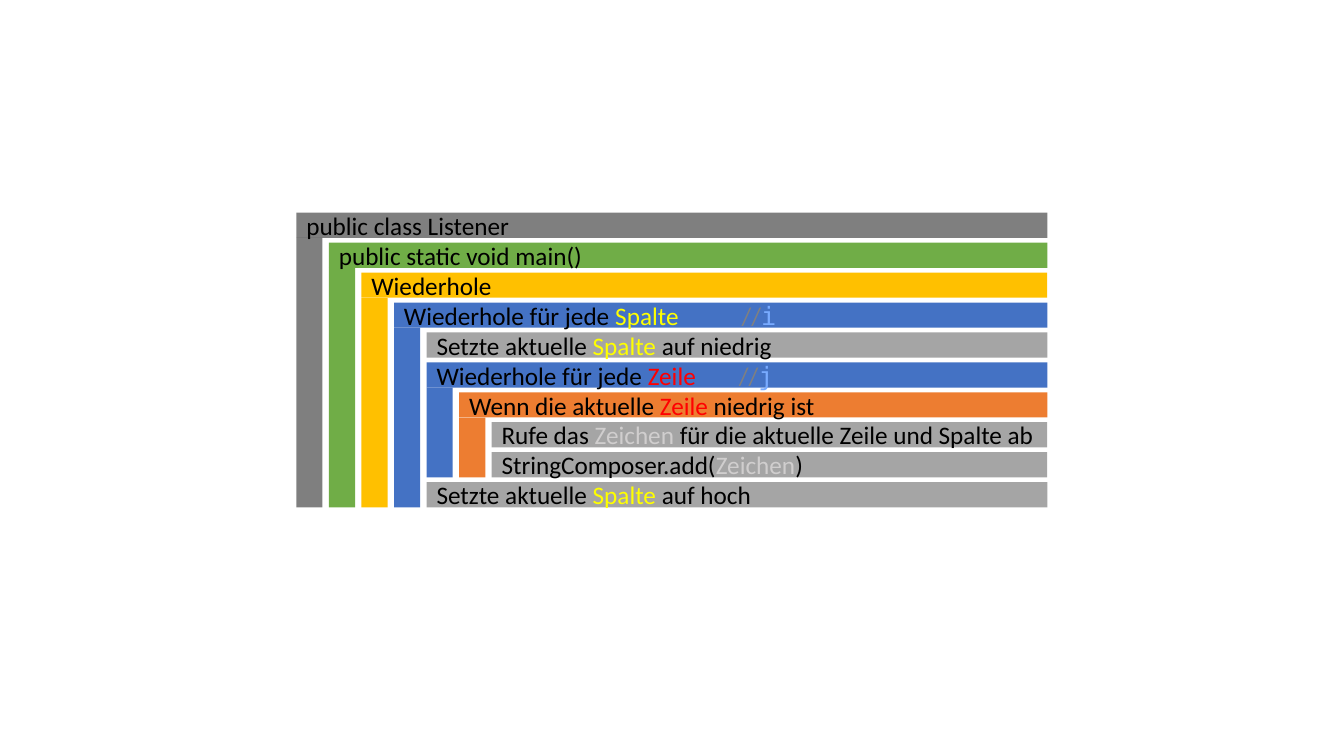
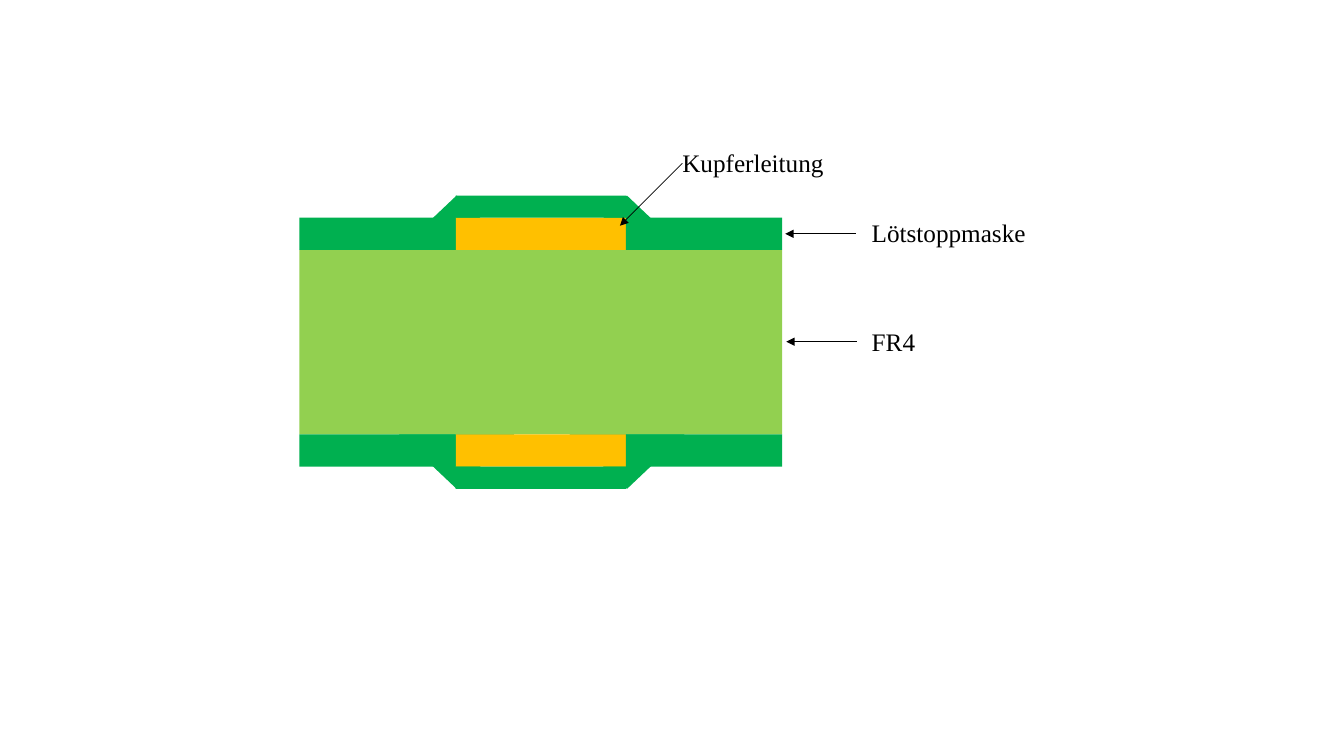
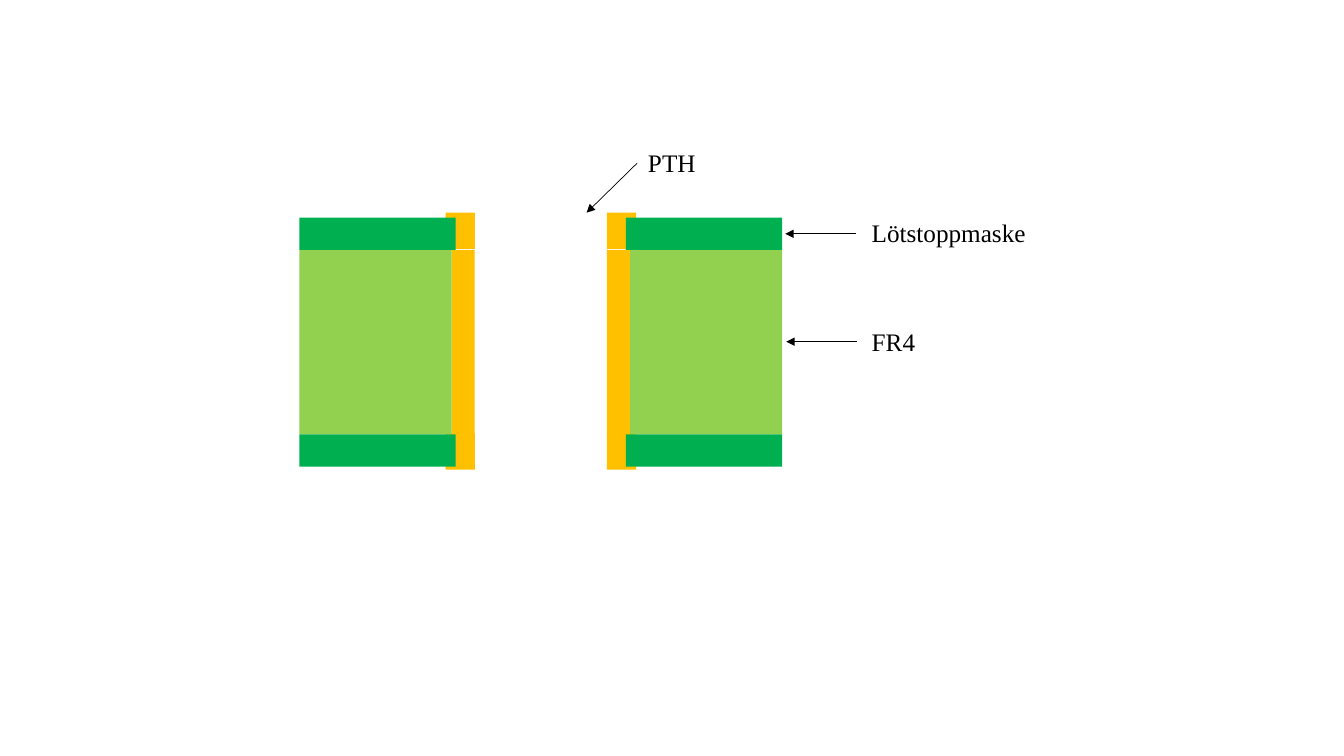
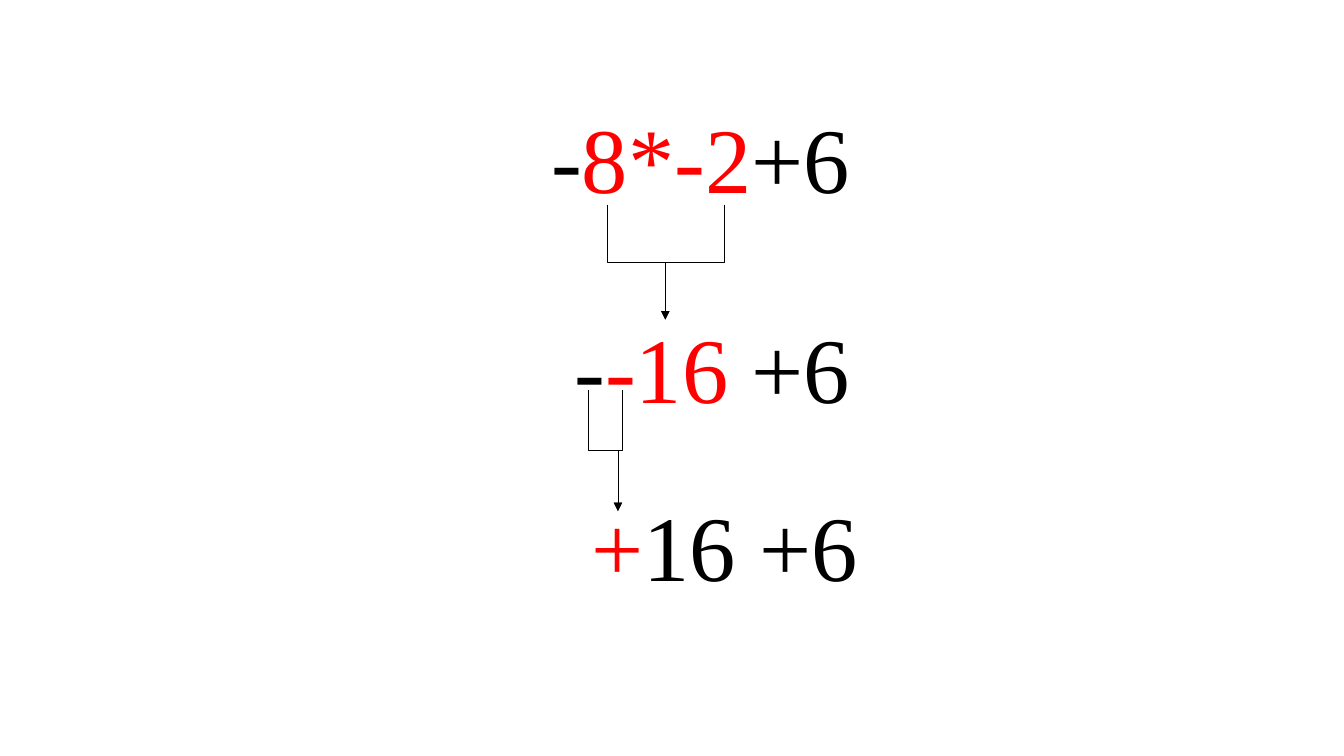
from pptx import Presentation as Deck
from pptx.dml.color import RGBColor as Rgb
from pptx.enum.shapes import MSO_CONNECTOR as Link, MSO_SHAPE as Form
from pptx.enum.text import MSO_ANCHOR as Anchor, PP_ALIGN as Align
from pptx.oxml.ns import qn
from pptx.util import Inches, Pt
from lxml.etree import SubElement as Sub

CELL = Inches(0.1)
WIDE, HIGH = 133.33, 75
HUES = {
    "black": "000000", "grey": "A5A5A5", "green": "70AD47", "gold": "FFC000",
    "blue": "4472C4", "orange": "ED7D31", "yellow": "FFFF00", "red": "FF0000",
    "slash": "808080", "index": "79ABFF", "silver": "D0CECE",
    "mask": "00B050", "core": "92D050",
}
SANS, MONO, SERIF = "Calibri", "DejaVu Sans Mono", "Times New Roman"

LEFT, TOP, RIGHT = 29.4, 21.1, 103.9
COL, ROW, BAR, STEM = 3.23, 2.97, 2.5, 2.6

EDGE, BOARD = 29.7, 47.9
SIDE, TRACE = 15.5, 16.9
LAYER, CORE, CAP = 3.2, 18.3, 2.2
UPPER, LOWER = 24.8, 43.1


def cells(*nums):
    return [round(n * CELL) for n in nums]


def hue(name):
    return Rgb.from_string(HUES[name])


def block(page, box, fill, form=Form.RECTANGLE, alpha=None):
    shape = page.shapes.add_shape(form, *cells(*box))
    shape.shadow.inherit = False
    shape.line.fill.background()
    shape.fill.solid()
    shape.fill.fore_color.rgb = hue(fill)
    if alpha:
        tint = shape._element.spPr.find(qn("a:solidFill"))[0]
        Sub(tint, qn("a:alpha")).set("val", str(alpha * 1000))
    return shape


def write(para, runs, size, font):
    for text, ink, *face in runs:
        run = para.add_run()
        run.text = text
        run.font.size = Pt(size)
        run.font.name = face[0] if face else font
        run.font.color.rgb = hue(ink)


def label(page, box, runs, size=18, wrap=False):
    frame = page.shapes.add_textbox(*cells(*box)).text_frame
    frame.word_wrap = wrap
    write(frame.paragraphs[0], runs, size, SERIF)


def style(line):
    line.line.color.rgb = hue("black")
    line.line.width = Pt(0.5)
    props = line._element.spPr
    Sub(props.find(qn("a:ln")), qn("a:tailEnd")).set("type", "triangle")
    Sub(props, qn("a:effectLst"))


def arrow(page, start, end):
    style(page.shapes.add_connector(Link.STRAIGHT, *cells(*start, *end)))


def elbow(page, start, end):
    (x, y), (to_x, to_y) = start, end
    mid_x, mid_y = (x + to_x) / 2, (y + to_y) / 2
    half, rise = (to_y - y) / 2, abs(to_x - x) / 2
    turn = 90
    if x < to_x:
        half, turn = -half, 270
    line = page.shapes.add_connector(Link.ELBOW, *cells(
        mid_x - half, mid_y - rise, mid_x + half, mid_y + rise))
    line._element.spPr.find(qn("a:xfrm")).set("rot", str(turn * 60000))
    style(line)


def step(page, row, col, last, fill, runs, tab=None, alpha=None):
    x, y = LEFT + col * COL, TOP + row * ROW
    if last > row:
        block(page, (x, y + BAR, STEM, (last - row) * ROW), fill, alpha=alpha)
    frame = block(page, (x, y, RIGHT - x, BAR), fill, alpha=alpha).text_frame
    frame.vertical_anchor = Anchor.MIDDLE
    para = frame.paragraphs[0]
    para.alignment = Align.LEFT
    write(para, runs, 18, SANS)
    if tab:
        stop = Sub(Sub(para._p.get_or_add_pPr(), qn("a:tabLst")), qn("a:tab"))
        stop.set("pos", str(Inches(tab)))
        stop.set("algn", "l")


def code(page):
    def set_col(state):
        return [("Setzte aktuelle ", "black"), ("Spalte", "yellow"),
                (" auf " + state, "black")]

    def loop(word, ink, name):
        return [("Wiederhole für jede ", "black"), (word + " \t", ink),
                ("//", "slash"), (name, "index", MONO)]

    step(page, 0, 0, 9, "black", [("public class Listener", "black")], alpha=50)
    step(page, 1, 1, 9, "green", [("public static void main()", "black")])
    step(page, 2, 2, 9, "gold", [("Wiederhole", "black")])
    step(page, 3, 3, 9, "blue", loop("Spalte", "yellow", "i"), tab=3.35)
    step(page, 4, 4, 4, "grey", set_col("niedrig"))
    step(page, 5, 4, 8, "blue", loop("Zeile", "red", "j"), tab=3)
    step(page, 6, 5, 8, "orange", [
        ("Wenn die aktuelle ", "black"), ("Zeile", "red"),
        (" niedrig ist", "black")])
    step(page, 7, 6, 7, "grey", [
        ("Rufe das ", "black"), ("Zeichen", "silver"),
        (" für die aktuelle Zeile und Spalte ab", "black")])
    step(page, 8, 6, 8, "grey", [
        ("StringComposer.add(", "black"), ("Zeichen", "silver"),
        (")", "black")])
    step(page, 9, 4, 9, "grey", set_col("hoch"))


def notes(page, name, box, start, end):
    arrow(page, (84.9, 23.2), (77.9, 23.2))
    arrow(page, (85, 33.9), (78, 33.9))
    label(page, (85.5, 21.1, 17.4, 4), [("Lötstoppmaske", "black")])
    label(page, (85.5, 31.9, 6.4, 4), [("FR4", "black")])
    arrow(page, start, end)
    label(page, box, [(name, "black")])


def trace(page):
    block(page, (EDGE, UPPER, BOARD, CORE), "core")
    mid = EDGE + SIDE
    for y, cap, peak, turn in (
            (UPPER - LAYER, UPPER - LAYER - CAP, UPPER - LAYER - CAP, 0),
            (LOWER, LOWER + LAYER, LOWER, 180)):
        for x in (39.6, 56.5):
            slope = block(page, (x, peak, 11.4, LAYER + CAP), "mask",
                          Form.ISOSCELES_TRIANGLE)
            slope.rotation = turn
        block(page, (mid, y, TRACE, LAYER), "gold")
        for x in (EDGE, mid + TRACE):
            block(page, (x, y, SIDE, LAYER), "mask")
        block(page, (mid, cap, TRACE, CAP), "mask")
    notes(page, "Kupferleitung", (66.7, 14.1, 16.2, 4), (67.7, 16.2), (61.5, 22.4))


def hole(page):
    def pair(x, y, wide, high, fill):
        for left in (x, 2 * EDGE + BOARD - x - wide):
            block(page, (left, y, wide, high), fill)

    for y in (21.1, 43):
        pair(44.2, y, 2.9, 3.6, "gold")
    pair(44.8, UPPER, 2.3, CORE, "gold")
    pair(EDGE, UPPER, 15.1, CORE, "core")
    for y in (UPPER - LAYER, LOWER):
        pair(EDGE, y, SIDE, LAYER, "mask")
    notes(page, "PTH", (63.3, 14.1, 6.8, 4), (63.2, 16.2), (58.2, 21.1))


def terms(page):
    for box, runs in (
            ((53.7, 9.5, 33.3, 12.1),
             [("-", "black"), ("8*-2", "red"), ("+6", "black")]),
            ((56, 30.4, 31, 12.1),
             [("-", "black"), ("-16 ", "red"), ("+6", "black")]),
            ((57.7, 48, 30.1, 12.1),
             [("+", "red"), ("16 +6", "black")])):
        label(page, box, runs, 66, True)
    for starts, y, end in (((60.2, 71.9), 20.3, (66, 31.7)),
                           ((58.4, 61.7), 38.7, (61.3, 50.7))):
        for x in starts:
            elbow(page, (x, y), end)


def main():
    deck = Deck()
    deck.slide_width, deck.slide_height = cells(WIDE, HIGH)
    for draw in (code, trace, hole, terms):
        draw(deck.slides.add_slide(deck.slide_layouts[6]))
    deck.save("out.pptx")


main()
